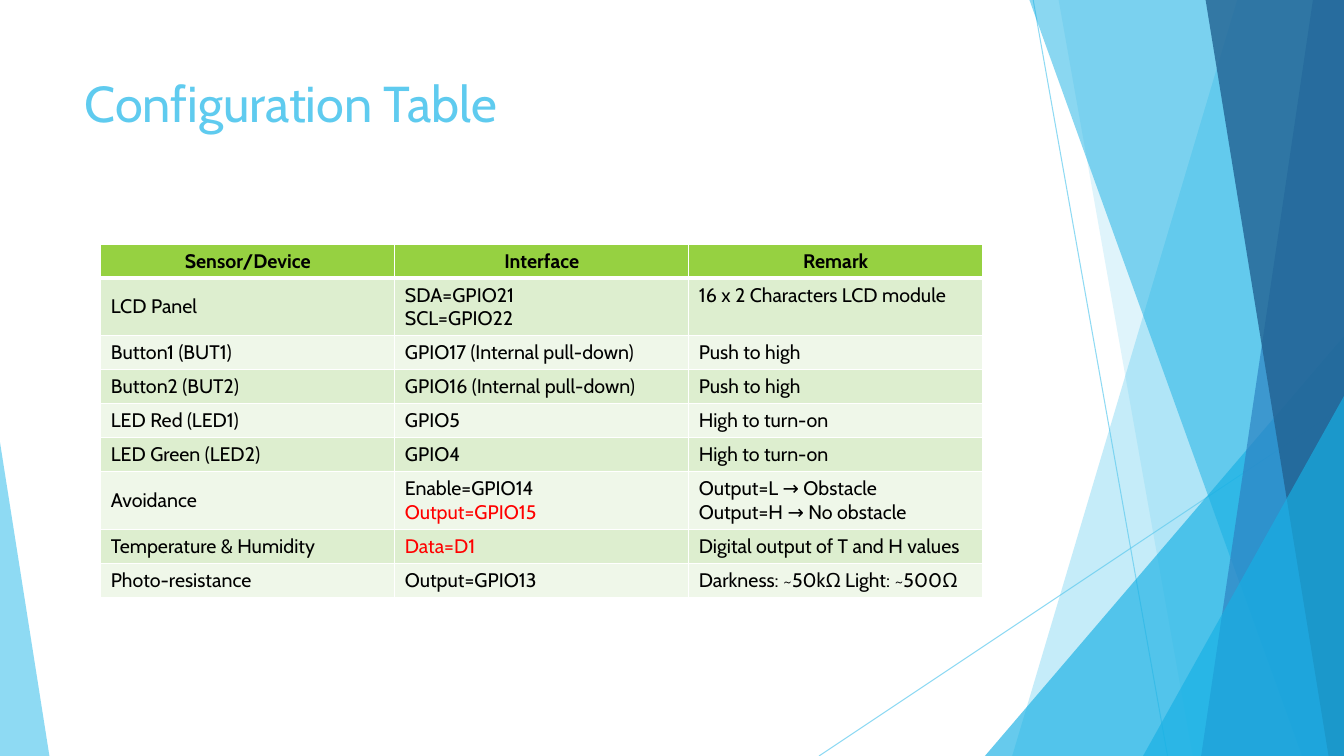
from lxml.etree import SubElement
from pptx import Presentation
from pptx.dml.color import RGBColor
from pptx.enum.shapes import MSO_CONNECTOR, MSO_SHAPE
from pptx.enum.text import MSO_ANCHOR as ANCHOR, PP_ALIGN as ALIGN
from pptx.oxml.ns import qn
from pptx.util import Pt

WIDTH, HEIGHT, TOP = 960, 540, -0.6
SKY, CYAN, BLUE, NAVY = "5FCBEF", "17B0E4", "2E83C3", "226292"
RED, BLACK, WHITE = "FF0000", "000000", "FFFFFF"
HEADER_FILL, BANDS = "96D141", ("DDEECF", "EFF7E9")

LINES = [(738, 0, 834, 540), (960, 290, 585, 540)]
BACK_BANDS = [(884, 723, SKY, 36), (756, 852, SKY, 20)]
FRONT_BANDS = [(735, 929.5, CYAN, 50), (938, 858, BLUE, 70), (861, 949, NAVY, 80)]

ROWS = [
    ("Sensor/Device", "Interface", "Remark"),
    ("LCD Panel", "SDA=GPIO21\nSCL=GPIO22", "16 x 2 Characters LCD module"),
    ("Button1 (BUT1)", "GPIO17 (Internal pull-down)", "Push to high"),
    ("Button2 (BUT2)", "GPIO16 (Internal pull-down)", "Push to high"),
    ("LED Red (LED1)", "GPIO5", "High to turn-on"),
    ("LED Green (LED2)", "GPIO4", "High to turn-on"),
    ("Avoidance", "Enable=GPIO14\nOutput=GPIO15", "Output=L → Obstacle\nOutput=H → No obstacle"),
    ("Temperature & Humidity", "Data=D1", "Digital output of T and H values"),
    ("Photo-resistance", "Output=GPIO13", "Darkness: ~50kΩ Light: ~500Ω"),
]
RED_TEXTS = {"Output=GPIO15", "Data=D1"}


def rgb(color):
    return RGBColor.from_string(color)


class Deck:
    """Holds the font and the current slide, and draws each kind of element."""

    def __init__(self, font):
        self.font = font
        self.prs = Presentation()
        self.prs.slide_width, self.prs.slide_height = Pt(WIDTH), Pt(HEIGHT)
        self.s = self.prs.slides.add_slide(self.prs.slide_layouts[5])

    def style(self, p, size, color, align=ALIGN.LEFT, bold=False):
        p.alignment = align
        for r in p.runs:
            r.font.name, r.font.size, r.font.bold = self.font, Pt(size), bold
            r.font.color.rgb = rgb(color)

    def opacity(self, sp, percent):
        for clr in sp._element.spPr.iter(qn("a:srgbClr")):
            SubElement(clr, qn("a:alpha"), val=str(percent * 1000))

    def paint(self, sp, color, percent):
        sp.shadow.inherit = False
        sp.fill.solid()
        sp.fill.fore_color.rgb = rgb(color)
        sp.line.fill.background()
        self.opacity(sp, percent)

    def title(self, text, x, y, w, h):
        sp = self.s.shapes.title
        sp.left, sp.top, sp.width, sp.height = Pt(x), Pt(y), Pt(w), Pt(h)
        tf = sp.text_frame
        tf.text = text
        tf.word_wrap = True
        tf.vertical_anchor = ANCHOR.TOP
        self.style(tf.paragraphs[0], 36, SKY)

    def line(self, x1, y1, x2, y2):
        sp = self.s.shapes.add_connector(
            MSO_CONNECTOR.STRAIGHT, Pt(x1), Pt(y1), Pt(x2), Pt(y2))
        sp.line.color.rgb = rgb(SKY)
        sp.line.width = Pt(0.75)
        self.opacity(sp, 70)
        SubElement(sp._element.spPr, qn("a:effectLst"))

    def band(self, top_x, bottom_x, color, percent):
        fb = self.s.shapes.build_freeform(top_x, TOP, scale=Pt(1))
        fb.add_line_segments([(WIDTH, TOP), (WIDTH, HEIGHT), (bottom_x, HEIGHT)], close=True)
        self.paint(fb.convert_to_shape(), color, percent)

    def triangle(self, x, y, w, apex, color, percent):
        sp = self.s.shapes.add_shape(
            MSO_SHAPE.ISOSCELES_TRIANGLE, Pt(x), Pt(y), Pt(w), Pt(HEIGHT - y))
        sp.adjustments[0] = apex
        self.paint(sp, color, percent)

    def border(self, cell, side, width):
        ln = SubElement(cell._tc.get_or_add_tcPr(), qn(f"a:ln{side}"), w=str(Pt(width)))
        SubElement(SubElement(ln, qn("a:solidFill")), qn("a:srgbClr"), val=WHITE)

    def cell(self, cell, text, row, col):
        head = row == 0
        for side in "LRTB":
            thick = (row, side) in ((0, "B"), (1, "T"))
            self.border(cell, side, 3 if thick else 1)
        cell.fill.solid()
        cell.fill.fore_color.rgb = rgb(HEADER_FILL if head else BANDS[(row - 1) % 2])
        cell.text_frame.text = text
        cell.vertical_anchor = ANCHOR.TOP if col else ANCHOR.MIDDLE
        for p in cell.text_frame.paragraphs:
            color = RED if p.text in RED_TEXTS else BLACK
            self.style(p, 14, color, ALIGN.CENTER if head else ALIGN.LEFT, head)

    def table(self, rows, x, y, w):
        heights = [41.2 if any("\n" in text for text in row) else 24.2 for row in rows]
        table = self.s.shapes.add_table(
            len(rows), len(rows[0]), Pt(x), Pt(y), Pt(w), Pt(sum(heights))).table
        for i, row in enumerate(rows):
            table.rows[i].height = Pt(heights[i])
            for j, text in enumerate(row):
                self.cell(table.cell(i, j), text, i, j)


def main():
    deck = Deck("Cabin")
    for ends in LINES:
        deck.line(*ends)
    for band in BACK_BANDS:
        deck.band(*band)
    deck.triangle(703.5, 240, 256.5, 1, CYAN, 66)
    for band in FRONT_BANDS:
        deck.band(*band)
    deck.triangle(816.5, 283, 143.5, 1, CYAN, 66)
    deck.triangle(0, 316, 35.3, 0, SKY, 70)
    deck.title("Configuration Table", 53.3, 48, 677, 104)
    deck.table(ROWS, 72, 174.3, 630)
    deck.prs.save("out.pptx")


if __name__ == "__main__":
    main()
